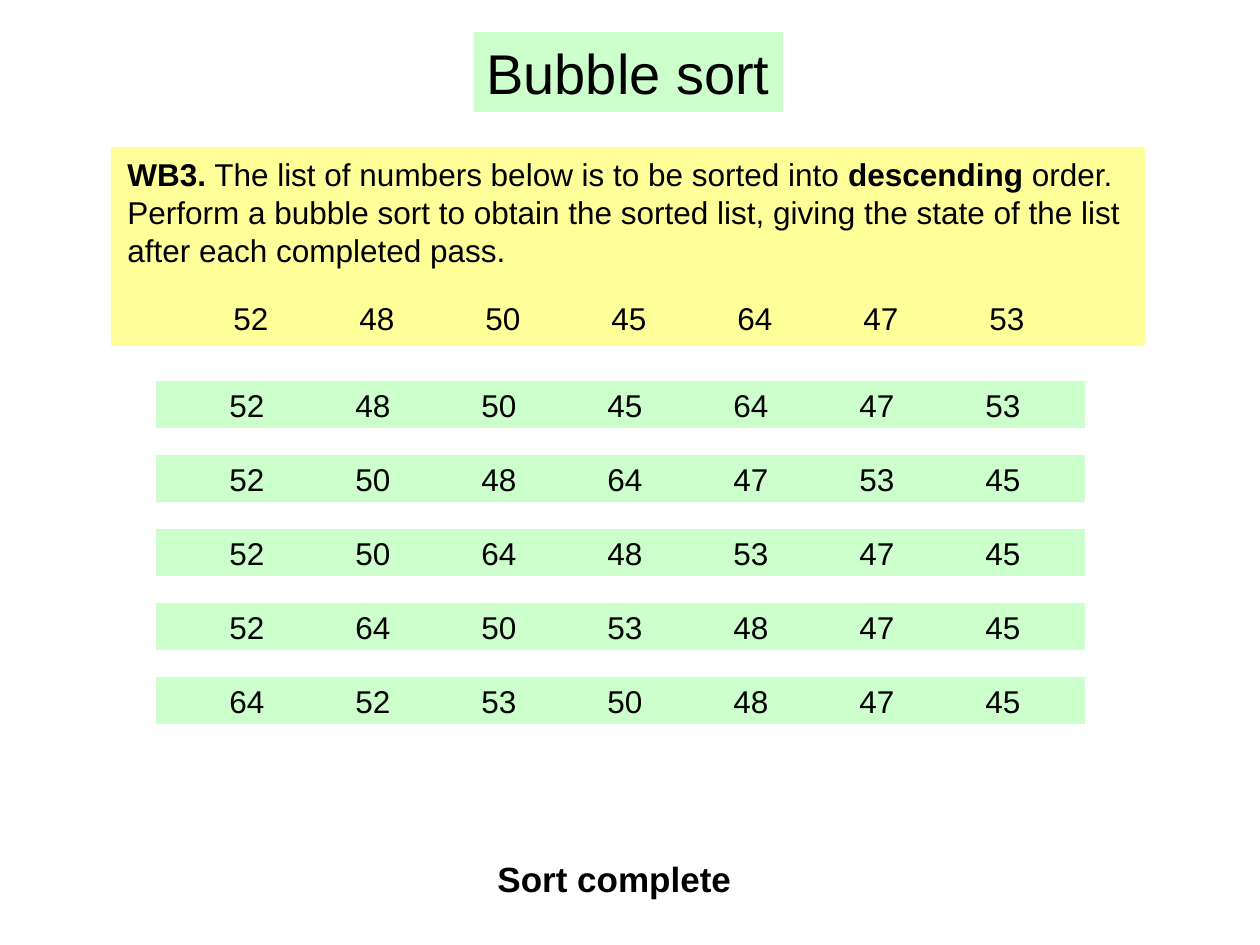
from lxml.etree import SubElement
from pptx import Presentation
from pptx.dml.color import RGBColor
from pptx.enum.shapes import MSO_SHAPE
from pptx.enum.text import MSO_ANCHOR, MSO_AUTO_SIZE, PP_ALIGN
from pptx.oxml.ns import qn
from pptx.util import Emu, Pt

# Content: runs are (text, bold)
TITLE = [[("Bubble sort", False)]]
TASK = [
    [("WB3.", True), (" The list of numbers below is to be sorted into ", False),
     ("descending ", True), ("order.", False)],
    [("Perform a bubble sort to obtain the sorted list, giving the state "
      "of the list after each completed pass.", False)],
]
NUMBERS = [52, 48, 50, 45, 64, 47, 53]
PASSES = [
    [52, 48, 50, 45, 64, 47, 53],
    [52, 50, 48, 64, 47, 53, 45],
    [52, 50, 64, 48, 53, 47, 45],
    [52, 64, 50, 53, 48, 47, 45],
    [64, 52, 53, 50, 48, 47, 45],
]
ENDING = [[("Sort complete", True)]]

# Layout in px
PX = 914400 // 126
COLUMN_STEP = 126
ROW_STEP = 74
FIRST_NUMBER = (217, 380)
FIRST_BAND = (156, 381)
GREEN, YELLOW, BLACK = "CCFFCC", "FFFF99", "000000"


def px(*lengths):
    return [Emu(length * PX) for length in lengths]


def color(value):
    return RGBColor.from_string(value)


def add_band(page, place, fill):
    band = page.shapes.add_shape(MSO_SHAPE.RECTANGLE, *px(*place))
    band.shadow.inherit = False
    band.fill.solid()
    band.fill.fore_color.rgb = color(fill)
    band.line.fill.background()
    return band


def add_tabs(para, count):
    tabs = SubElement(para._p.get_or_add_pPr(), qn("a:tabLst"))
    for index in range(1, count + 1):
        SubElement(tabs, qn("a:tab"), pos=str(index * COLUMN_STEP * PX), algn="l")


def write(box, paragraphs, size=18, wrap=False, anchor=MSO_ANCHOR.TOP, tabs=0):
    frame = box.text_frame
    frame.word_wrap = wrap
    frame.auto_size = MSO_AUTO_SIZE.SHAPE_TO_FIT_TEXT
    frame.vertical_anchor = anchor
    for index, runs in enumerate(paragraphs):
        para = frame.add_paragraph() if index else frame.paragraphs[0]
        para.alignment = PP_ALIGN.LEFT
        if tabs:
            add_tabs(para, tabs)
        para.font.name = "Arial"
        para.font.size = Pt(size)
        para.font.color.rgb = color(BLACK)
        for text, bold in runs:
            span = para.add_run()
            span.text = text
            span.font.bold = bold


def add_text(page, place, paragraphs, **style):
    write(page.shapes.add_textbox(*px(*place)), paragraphs, **style)


def main():
    deck = Presentation()
    deck.slide_width, deck.slide_height = px(1260, 945)
    page = deck.slides.add_slide(deck.slide_layouts[6])

    # Title
    write(add_band(page, (474, 32, 309, 80), GREEN), TITLE, size=32)

    # Task with the starting list
    add_band(page, (111, 147, 1034, 199), YELLOW)
    add_text(page, (115, 149, 1081, 126), TASK, wrap=True, anchor=MSO_ANCHOR.MIDDLE)
    number_line = "\t".join(str(number) for number in NUMBERS)
    add_text(page, (221, 293, 816, 50), [[(number_line, False)]], tabs=len(NUMBERS))

    # State of the list, one band per row
    band_left, band_top = FIRST_BAND
    number_left, number_top = FIRST_NUMBER
    for row, numbers in enumerate(PASSES):
        add_band(page, (band_left, band_top + row * ROW_STEP, 929, 47), GREEN)
        for column, number in enumerate(numbers):
            place = (number_left + column * COLUMN_STEP,
                     number_top + row * ROW_STEP, 60, 50)
            add_text(page, place, [[(str(number), False)]])

    # Ending
    add_text(page, (485, 851, 273, 55), ENDING, size=20, wrap=True)

    deck.save("out.pptx")


if __name__ == "__main__":
    main()
